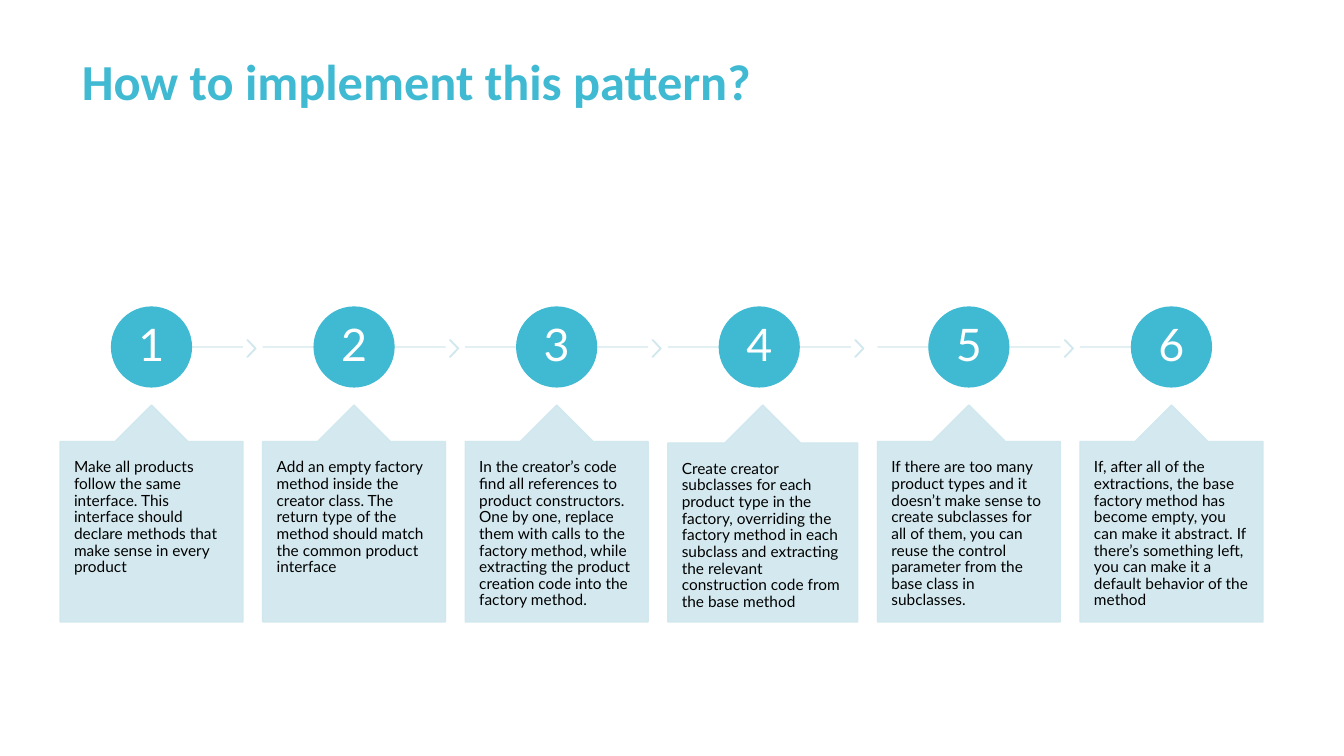
from dataclasses import dataclass

from lxml import etree
from pptx import Presentation
from pptx.dml.color import RGBColor
from pptx.enum.shapes import MSO_CONNECTOR, MSO_SHAPE
from pptx.enum.text import MSO_ANCHOR, MSO_AUTO_SIZE, PP_ALIGN
from pptx.oxml.ns import qn
from pptx.util import Emu, Pt

CHEVRON, CIRCLE = MSO_SHAPE.CHEVRON, MSO_SHAPE.OVAL
CALLOUT = MSO_SHAPE.UP_ARROW_CALLOUT
STRAIGHT = MSO_CONNECTOR.STRAIGHT
TOP, MIDDLE = MSO_ANCHOR.TOP, MSO_ANCHOR.MIDDLE
LEFT, CENTER = PP_ALIGN.LEFT, PP_ALIGN.CENTER

# Content: each step has its text and card width
TITLE = "How to implement this pattern?"
STEPS = [
    ("Make all products follow the same interface. This interface should "
     "declare methods that make sense in every product", 183),
    ("Add an empty factory method inside the creator class. The return type "
     "of the method should match the common product interface", 183),
    ("In the creator’s code find all references to product constructors. One "
     "by one, replace them with calls to the factory method, while extracting "
     "the product creation code into the factory method.", 183),
    ("Create creator subclasses for each product type in the factory, "
     "overriding the factory method in each subclass and extracting the "
     "relevant construction code from the base method", 190),
    ("If there are too many product types and it doesn’t make sense to create "
     "subclasses for all of them, you can reuse the control parameter from "
     "the base class in subclasses.", 183),
    ("If, after all of the extractions, the base factory method has become "
     "empty, you can make it abstract. If there’s something left, you can "
     "make it a default behavior of the method", 183),
]


@dataclass(frozen=True)
class Theme:
    accent: str = "40BAD2"
    pale: str = "CFE7EE"
    on_accent: str = "FFFFFF"
    ink: str = "000000"
    pale_alpha: int = 90
    title_font: str = "Calibri"
    body_font: str = "Lato"
    title_size: int = 36
    number_size: int = 32
    body_size: int = 11
    outline: float = 0.85
    line_spacing: float = 0.9
    space_after: float = 0.35


THEME = Theme()

# Layout in px
SLIDE_W, SLIDE_H = 1344, 756
TITLE_BOX = (72, 45, 698, 72)
ROW_LEFT, ROW_RIGHT = 60, 1263
TRACK_W, TRACK_Y = 183, 347
CIRCLE_D, NUMBER_D = 80, 56
CHEVRON_GAP, CHEVRON_W, CHEVRON_H = 4, 9, 17
CARD_TOP, CARD_BOTTOM = 405, 622
HEAD_RATIO = 0.2
CARD_INSETS = (14, 18)
NUMBER_INSETS = (3, 3)
TITLE_INSETS = (10, 5)


def px(length):
    return Emu(round(length * 914400 / 100.8))


def paint(color_format, color):
    color_format.rgb = RGBColor.from_string(color)
    if color == THEME.pale:
        for rgb in color_format._xFill.iter(qn("a:srgbClr")):
            etree.SubElement(rgb, qn("a:alpha"), val=str(THEME.pale_alpha * 1000))


def paint_line(line, color):
    line.width = Pt(THEME.outline)
    line.fill.solid()
    paint_fill(line.fill, color)


def paint_fill(fill, color):
    fill.solid()
    fill.fore_color.rgb = RGBColor.from_string(color)


def set_alpha(part):
    for rgb in part._element.spPr.iter(qn("a:srgbClr")):
        etree.SubElement(rgb, qn("a:alpha"), val=str(THEME.pale_alpha * 1000))


def add_figure(slide, kind, box, color, adjustments=()):
    figure = slide.shapes.add_shape(kind, *map(px, box))
    figure.shadow.inherit = False
    paint_fill(figure.fill, color)
    paint_line(figure.line, color)
    for index, value in enumerate(adjustments):
        figure.adjustments[index] = value
    if color == THEME.pale:
        set_alpha(figure)


def add_track(slide, start, end):
    track = slide.shapes.add_connector(
        STRAIGHT, px(start), px(TRACK_Y), px(end), px(TRACK_Y))
    paint_line(track.line, THEME.pale)
    set_alpha(track)
    etree.SubElement(track._element.spPr, qn("a:effectLst"))


def add_text(slide, box, text, font, size, color, insets, anchor=TOP,
             align=LEFT, bold=False, wrap=True):
    frame = slide.shapes.add_textbox(*map(px, box)).text_frame
    frame.word_wrap = wrap
    frame.vertical_anchor = anchor
    frame.margin_left = frame.margin_right = px(insets[0])
    frame.margin_top = frame.margin_bottom = px(insets[1])
    paragraph = frame.paragraphs[0]
    paragraph.alignment = align
    run = paragraph.add_run()
    run.text = text
    run.font.name, run.font.size, run.font.bold = font, Pt(size), bold
    run.font.color.rgb = RGBColor.from_string(color)
    if wrap:
        paragraph.line_spacing = THEME.line_spacing
        paragraph.space_after = Pt(size * THEME.space_after)
    else:
        frame.auto_size = MSO_AUTO_SIZE.SHAPE_TO_FIT_TEXT


def centered_box(center, width, height):
    return center - width / 2, TRACK_Y - height / 2, width, height


def add_step(slide, index, left, width, text):
    first, last = index == 0, index == len(STEPS) - 1
    center, track_end = left + TRACK_W / 2, left + TRACK_W

    # Track and chevron to the next step
    add_track(slide, center if first else left, center if last else track_end)
    if not last:
        chevron_left = track_end + CHEVRON_GAP
        chevron_box = (chevron_left, TRACK_Y - 7, CHEVRON_W, CHEVRON_H)
        add_figure(slide, CHEVRON, chevron_box, THEME.pale, (0.9,))

    # Numbered circle
    add_figure(slide, CIRCLE, centered_box(center, CIRCLE_D, CIRCLE_D), THEME.accent)
    add_text(slide, centered_box(center, NUMBER_D, NUMBER_D), str(index + 1),
             THEME.body_font, THEME.number_size, THEME.on_accent,
             NUMBER_INSETS, MIDDLE, CENTER)

    # Card with its pointer
    add_figure(slide, CALLOUT, (left, CARD_TOP, width, CARD_BOTTOM - CARD_TOP),
               THEME.pale, (0.5, HEAD_RATIO, HEAD_RATIO, 1))
    body_top = CARD_TOP + HEAD_RATIO * width
    add_text(slide, (left, body_top, width, CARD_BOTTOM - body_top), text,
             THEME.body_font, THEME.body_size, THEME.ink, CARD_INSETS)


def main():
    deck = Presentation()
    deck.slide_width, deck.slide_height = px(SLIDE_W), px(SLIDE_H)
    slide = deck.slides.add_slide(deck.slide_layouts[6])

    add_text(slide, TITLE_BOX, TITLE, THEME.title_font, THEME.title_size,
             THEME.accent, TITLE_INSETS, bold=True, wrap=False)

    # Cards share the row with equal gaps
    card_total = sum(width for _, width in STEPS)
    gap = (ROW_RIGHT - ROW_LEFT - card_total) / (len(STEPS) - 1)
    left = ROW_LEFT
    for index, (text, width) in enumerate(STEPS):
        add_step(slide, index, left, width, text)
        left += width + gap

    deck.save("out.pptx")


if __name__ == "__main__":
    main()
